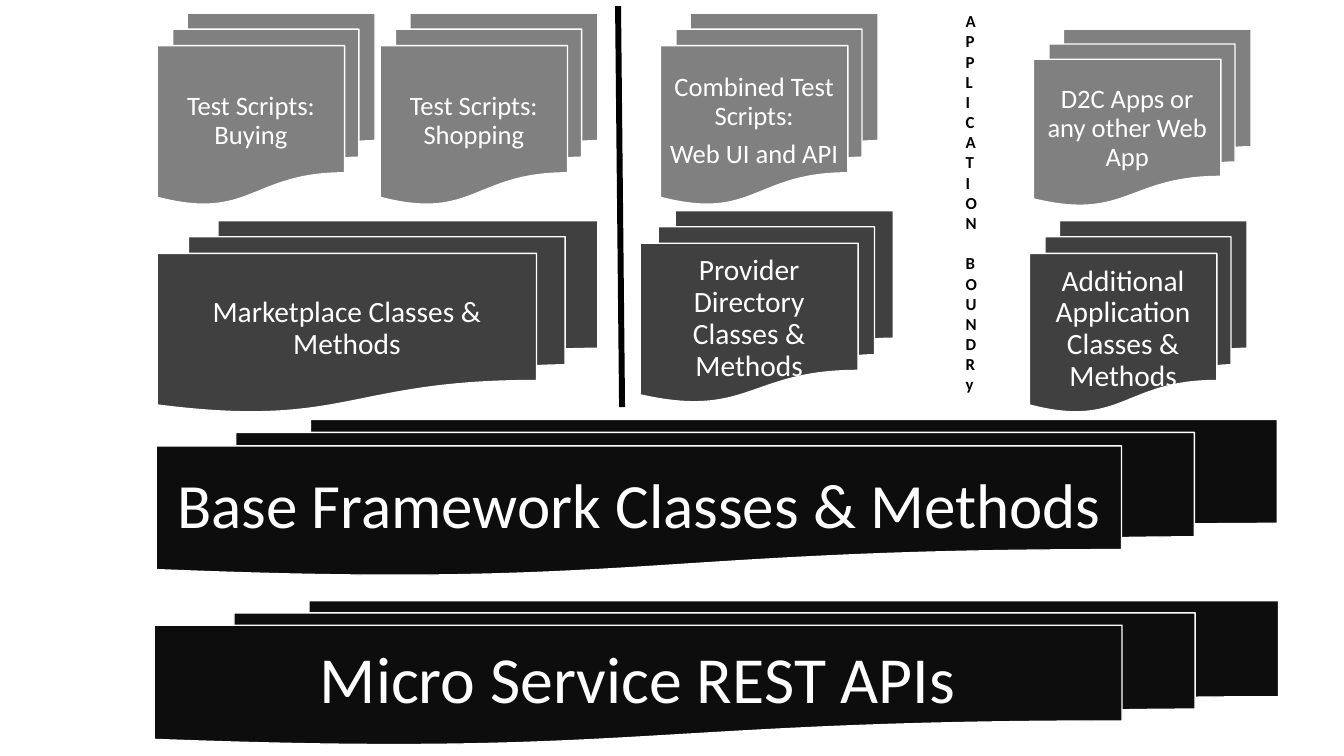
from lxml import etree
from pptx import Presentation
from pptx import util as u
from pptx.dml.color import RGBColor
from pptx.enum import shapes, text
from pptx.oxml.ns import qn

BLACK = RGBColor(0x00, 0x00, 0x00)
NEAR_BLACK = RGBColor(0x0D, 0x0D, 0x0D)
DARK_GREY = RGBColor(0x40, 0x40, 0x40)
MID_GREY = RGBColor(0x80, 0x80, 0x80)
WHITE = RGBColor(0xFF, 0xFF, 0xFF)
FONT = "Calibri"

# Each tier of the framework: fill, text size, text inset
SERVICE_TIER = (NEAR_BLACK, 47, 0.2)
BASE_TIER = (NEAR_BLACK, 45, 0.19)
CLASS_TIER = (DARK_GREY, 21, 0.09)
SCRIPT_TIER = (MID_GREY, 19, 0.08)

# Tier, left, top, width, height, lines of text
STACKS = [
    (SERVICE_TIER, 1.53, 5.96, 11.15, 1.43, ["Micro Service REST APIs"]),
    (BASE_TIER, 1.55, 4.16, 11.12, 1.55, ["Base Framework Classes & Methods"]),
    (CLASS_TIER, 1.56, 2.19, 4.37, 1.9, ["Marketplace Classes & Methods"]),
    (SCRIPT_TIER, 1.56, 0.13, 2.16, 1.9, ["Test Scripts: Buying"]),
    (SCRIPT_TIER, 3.77, 0.13, 2.16, 1.9, ["Test Scripts: Shopping"]),
    (CLASS_TIER, 6.35, 2.09, 2.51, 1.9, ["Provider Directory Classes & Methods"]),
    (SCRIPT_TIER, 6.55, 0.13, 2.16, 1.9,
     ["Combined Test Scripts:", "Web UI and API "]),
    (SCRIPT_TIER, 10.25, 0.29, 2.16, 1.75, ["D2C Apps or any other Web App"]),
    (CLASS_TIER, 10.21, 2.19, 2.16, 1.9,
     ["Additional Application Classes & Methods"]),
]
BOUNDARY_WORDS = ["APPLICATION", "BOUNDRy"]


def add_run(paragraph, words, size, color, bold=False):
    """Append one formatted run to a paragraph."""
    run = paragraph.add_run()
    run.text = words
    run.font.name = FONT
    run.font.size = u.Pt(size)
    run.font.bold = bold
    run.font.color.rgb = color


def next_paragraph(frame, index):
    """Return the frame's first paragraph, or a new one after it."""
    return frame.add_paragraph() if index else frame.paragraphs[0]


def add_stack(slide, tier, left, top, width, height, lines):
    """Draw a stack of documents with centred text on the front one."""
    fill, size, inset = tier
    stack = slide.shapes.add_shape(
        shapes.MSO_SHAPE.FLOWCHART_MULTIDOCUMENT,
        *map(u.Inches, (left, top, width, height)))
    stack.shadow.inherit = False
    stack.fill.solid()
    stack.fill.fore_color.rgb = fill
    stack.line.color.rgb = WHITE
    stack.line.width = u.Pt(1)

    frame = stack.text_frame
    frame.word_wrap = True
    frame.vertical_anchor = text.MSO_ANCHOR.MIDDLE
    frame.margin_left = frame.margin_right = u.Inches(inset)
    frame.margin_top = frame.margin_bottom = u.Inches(inset)
    for index, line in enumerate(lines):
        paragraph = next_paragraph(frame, index)
        paragraph.alignment = text.PP_ALIGN.CENTER
        paragraph.line_spacing = 0.9
        paragraph.space_after = u.Pt(size * 0.35)
        add_run(paragraph, line, size, WHITE)


def add_divider(slide, start, end):
    """Draw the heavy line between two groups of stacks."""
    divider = slide.shapes.add_connector(
        shapes.MSO_CONNECTOR.STRAIGHT, *map(u.Inches, start + end))
    divider.line.color.rgb = BLACK
    divider.line.width = u.Pt(4.25)
    etree.SubElement(divider._element.spPr, qn("a:effectLst"))


def add_boundary_label(slide, left, top, width, height):
    """Spell the boundary words downwards, with a gap between words."""
    label = slide.shapes.add_textbox(
        *map(u.Inches, (left, top, width, height)))
    frame = label.text_frame
    frame.word_wrap = True
    frame.auto_size = text.MSO_AUTO_SIZE.SHAPE_TO_FIT_TEXT
    letters = [(letter, place == 0)
               for word in BOUNDARY_WORDS for place, letter in enumerate(word)]
    for index, (letter, starts_word) in enumerate(letters):
        paragraph = next_paragraph(frame, index)
        if index and starts_word:
            paragraph.space_before = u.Pt(14.6)
        add_run(paragraph, letter, 12, BLACK, bold=True)


def main():
    """Build the framework slide and save it."""
    deck = Presentation()
    deck.slide_width = u.Inches(13.33)
    deck.slide_height = u.Inches(7.5)
    slide = deck.slides.add_slide(deck.slide_layouts[6])
    for stack in STACKS:
        add_stack(slide, *stack)
    add_divider(slide, (6.13, 0.06), (6.17, 4.04))
    add_boundary_label(slide, 9.48, 0.06, 0.51, 3.94)
    deck.save("out.pptx")


main()
